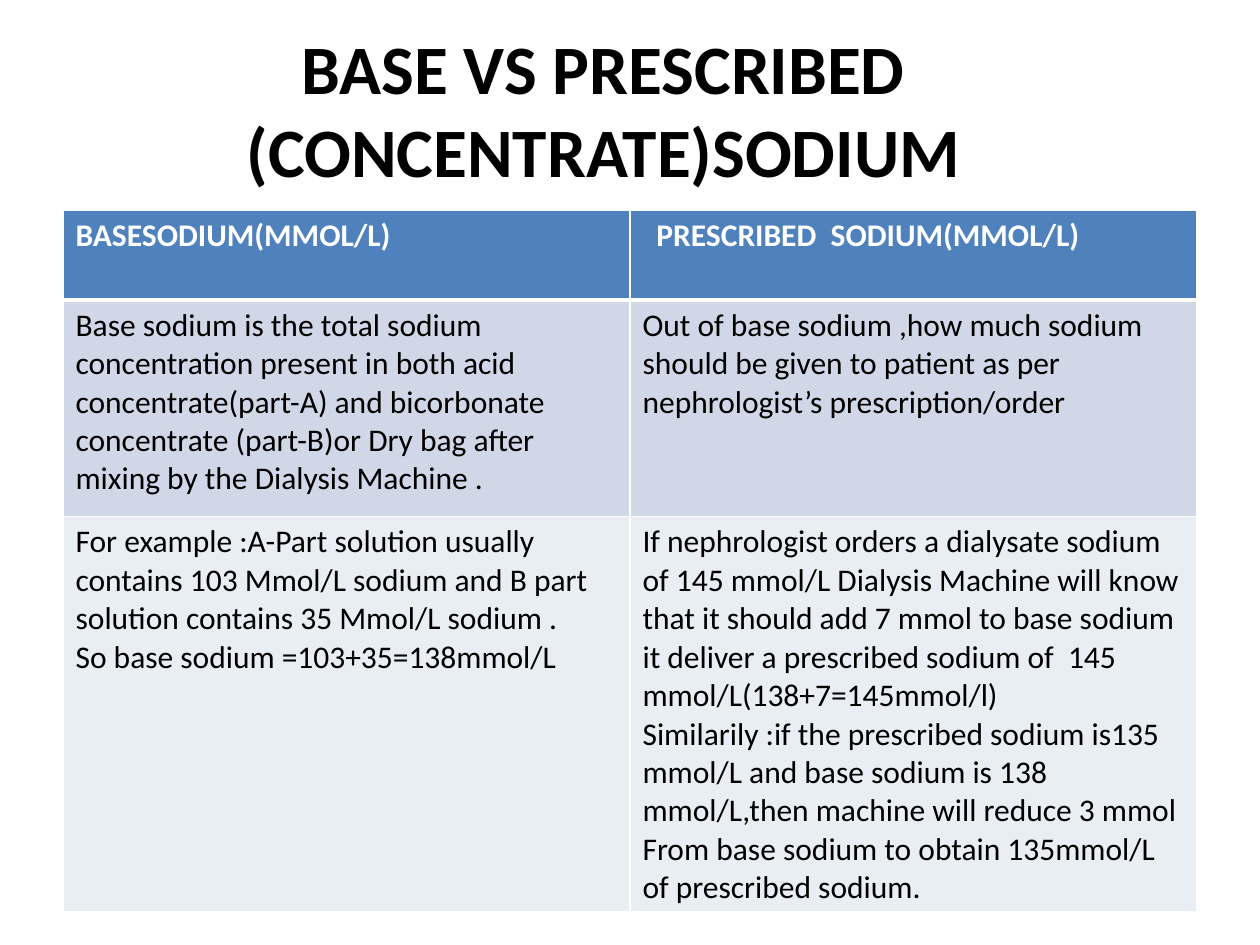
from lxml.etree import SubElement
from pptx import Presentation
from pptx.dml.color import RGBColor
from pptx.enum.text import MSO_ANCHOR, PP_ALIGN
from pptx.oxml.ns import qn
from pptx.util import Inches, Pt


def write(frame, text, size=18, color="000000", bold=False, align=PP_ALIGN.LEFT):
    frame.word_wrap = True
    for index, line in enumerate(text.split("\n")):
        para = frame.paragraphs[0] if index == 0 else frame.add_paragraph()
        para.alignment = align
        span = para.add_run()
        span.text = line
        span.font.name = "Calibri"
        span.font.size = Pt(size)
        span.font.bold = bold
        span.font.color.rgb = RGBColor.from_string(color)


def add_border(cell, side, width, color="FFFFFF"):
    line = SubElement(cell._tc.get_or_add_tcPr(), qn(f"a:ln{side}"), w=str(Pt(width)))
    fill = SubElement(line, qn("a:solidFill"))
    SubElement(fill, qn("a:srgbClr"), val=color)


deck = Presentation()
deck.slide_width = Inches(10)
deck.slide_height = Inches(7.5)
page = deck.slides.add_slide(deck.slide_layouts[6])

title = page.shapes.add_textbox(Inches(0.75), Inches(0.33), Inches(8.08), Inches(1.06))
title.text_frame.vertical_anchor = MSO_ANCHOR.MIDDLE
write(title.text_frame, "BASE VS PRESCRIBED (CONCENTRATE)SODIUM",
      size=39.6, bold=True, align=PP_ALIGN.CENTER)

rows = [
    ("BASESODIUM(MMOL/L)", "PRESCRIBED  SODIUM(MMOL/L)"),
    ("Base sodium is the total sodium concentration present in both acid "
     "concentrate(part-A) and bicorbonate concentrate (part-B)or Dry bag after mixing "
     "by the Dialysis Machine .",
     "Out of base sodium ,how much sodium should be given to patient as per "
     "nephrologist’s prescription/order"),
    ("For example :A-Part solution usually contains 103 Mmol/L sodium and B part "
     "solution contains 35 Mmol/L sodium .\n"
     "So base sodium =103+35=138mmol/L",
     "If nephrologist orders a dialysate sodium of 145 mmol/L Dialysis Machine will know "
     "that it should add 7 mmol to base sodium it deliver a prescribed sodium of  145 "
     "mmol/L(138+7=145mmol/l)\n"
     "Similarily :if the prescribed sodium is135 mmol/L and base sodium is 138 "
     "mmol/L,then machine will reduce 3 mmol\n"
     "From base sodium to obtain 135mmol/L of prescribed sodium."),
]
heights = [0.71, 1.72, 3.14]
fills = ["4F81BD", "D0D8E8", "E9EDF4"]

table = page.shapes.add_table(len(rows), 2, Inches(0.5), Inches(1.67),
                              Inches(9), Inches(sum(heights))).table
for row_index, texts in enumerate(rows):
    table.rows[row_index].height = Inches(heights[row_index])
    header = row_index == 0
    for column_index, text in enumerate(texts):
        cell = table.cell(row_index, column_index)
        for side in "LRTB":
            thick = (header and side == "B") or (row_index == 1 and side == "T")
            add_border(cell, side, 3 if thick else 1)
        cell.fill.solid()
        cell.fill.fore_color.rgb = RGBColor.from_string(fills[row_index])
        write(cell.text_frame, text, bold=header, color="FFFFFF" if header else "000000")
table.cell(0, 1).margin_left = Inches(0.21)

deck.save("out.pptx")
